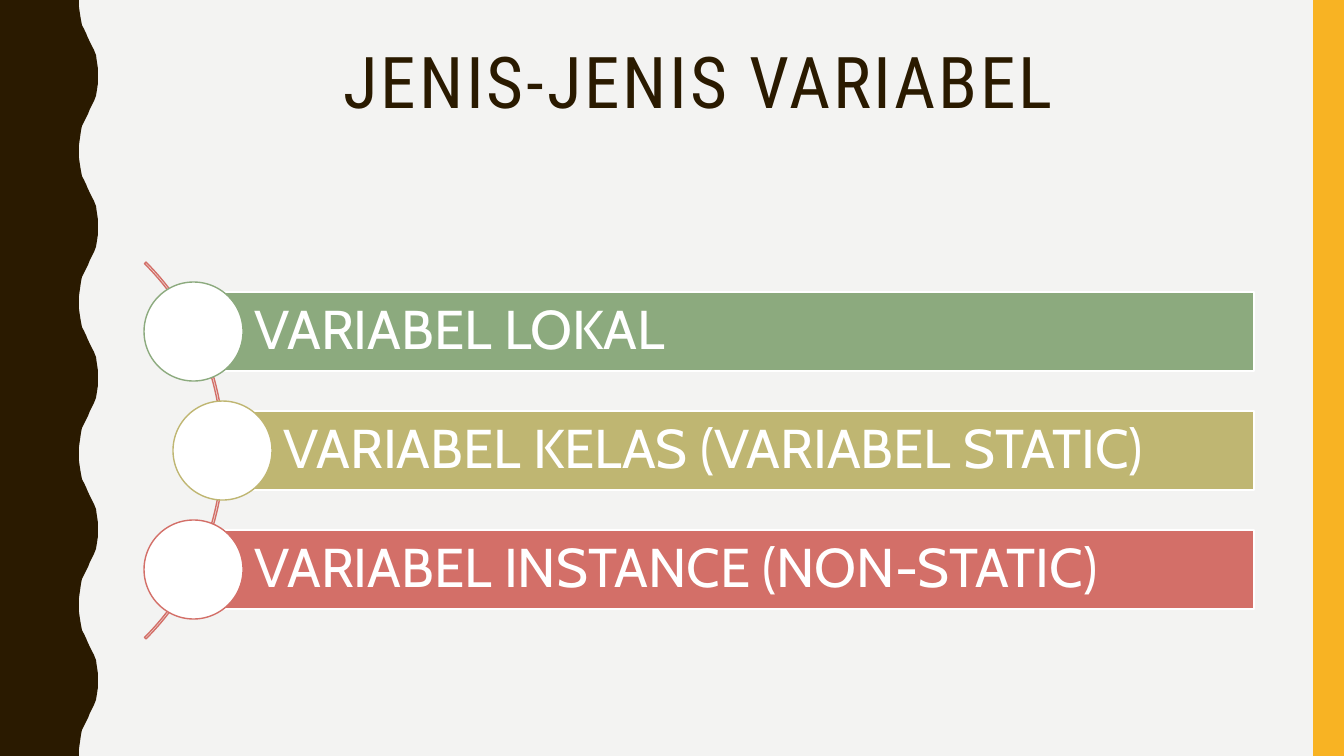
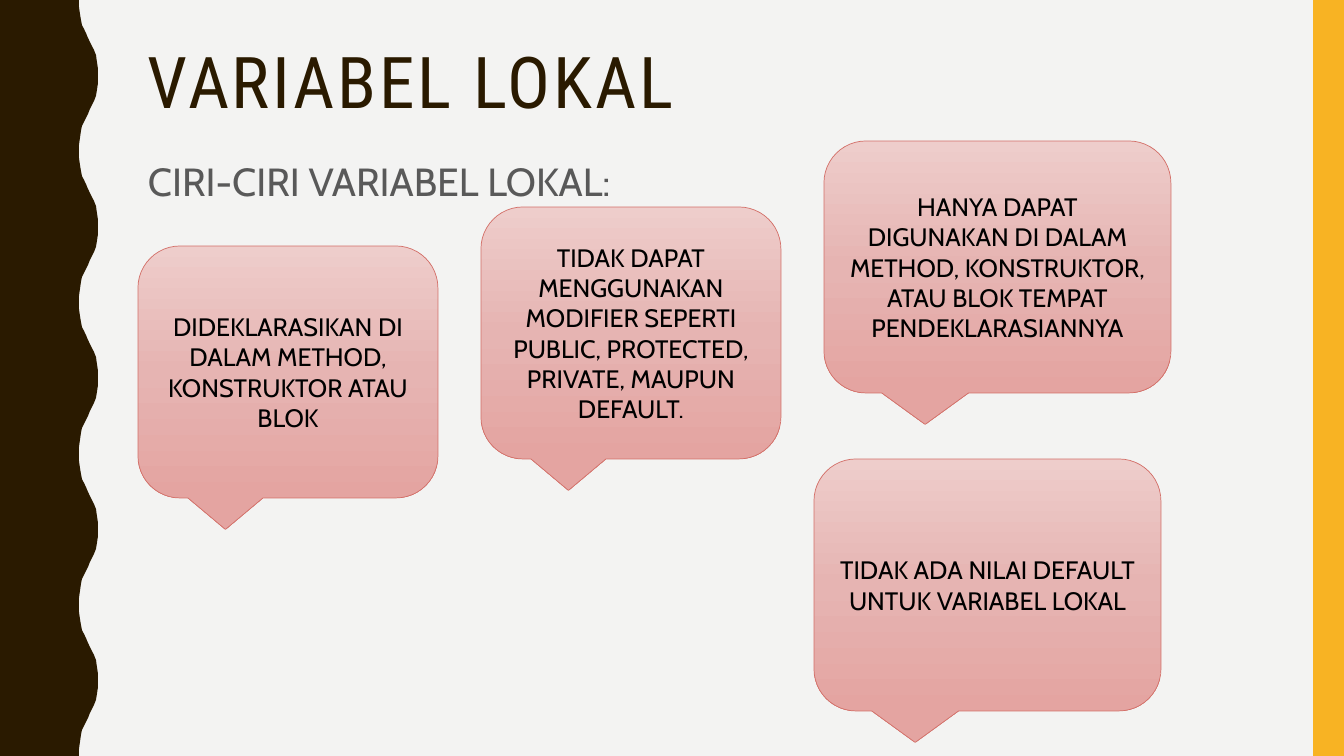
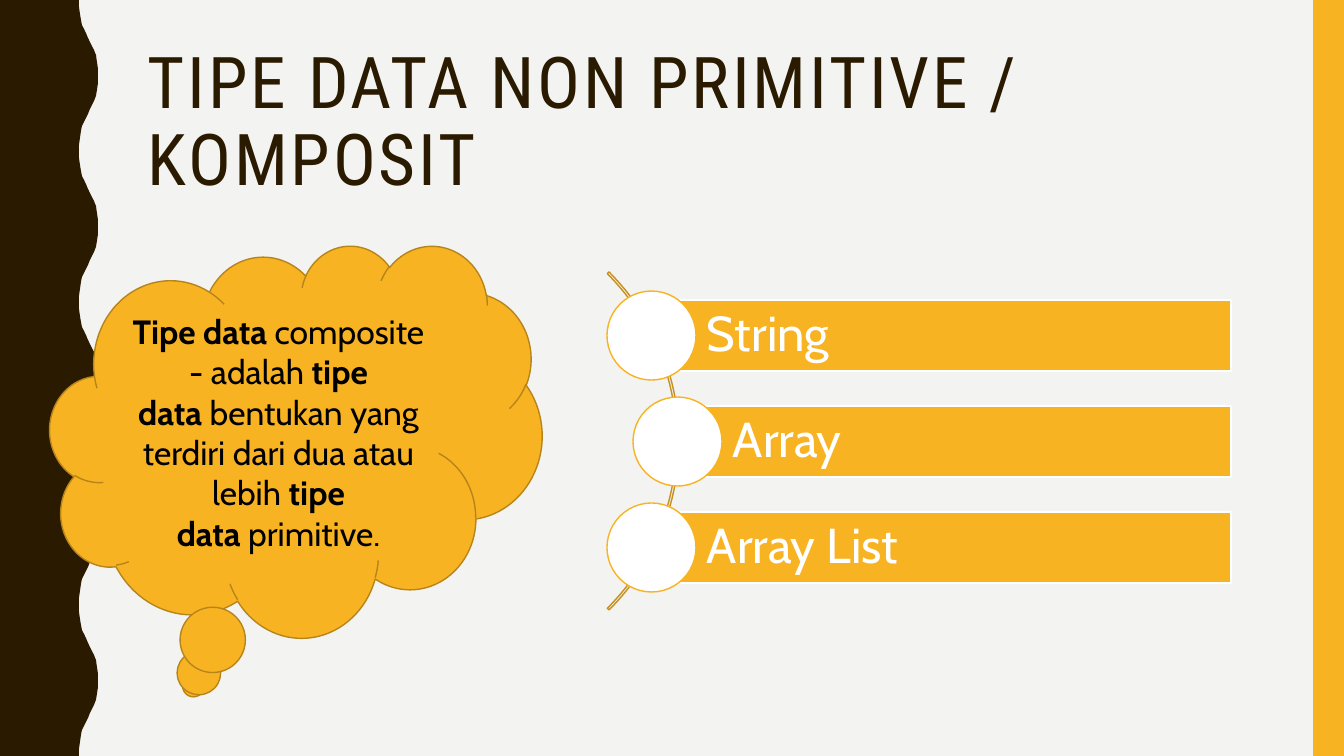
from copy import deepcopy
from dataclasses import dataclass
from typing import NamedTuple, Optional

from pptx import Presentation
from pptx.dml.color import RGBColor
from pptx.enum.shapes import MSO_SHAPE as Preset
from pptx.enum.text import MSO_ANCHOR as Anchor, PP_ALIGN as Align
from pptx.oxml.ns import qn
from pptx.shapes.autoshape import Shape
from pptx.slide import Slide
from pptx.util import Emu, Pt

WIDTH, HEIGHT = 1344, 756
SCALE = 12192000 / WIDTH
HEADING_FONT, BODY_FONT = "Roboto Condensed", "Cabin"
BROWN, GOLD, PAPER, GRAY = "2A1A00", "F8B323", "F3F3F2", "595959"
GREEN, OLIVE, CORAL = "8CAA7E", "BFB672", "D36F68"
DARK_GOLD, BRONZE = "B7841A", "C78F1C"
WHITE, BLACK = "FFFFFF", "000000"
CALLOUT_SHADES = ("EECDCB", "E6B4B2", "E4A4A1")
WAVE_X = (79, 79, 80, 81, 82, 84, 86, 88, 90, 92, 94, 96, 97, 98, 98)
WAVE_Y = (0, 7, 14, 20, 25, 29, 33, 38, 42, 46, 50, 55, 62, 69, 75.6)
HALF_WAVES = 10


class Span(NamedTuple):
    text: str
    bold: bool = False


class Area(NamedTuple):
    left: int
    top: int
    width: int
    height: int


class Row(NamedTuple):
    text: str
    color: str


class Callout(NamedTuple):
    area: Area
    paragraphs: list[str]


@dataclass
class ArcList:
    rows: list[Row]
    left: int
    indent: int
    right: int
    middle: int
    pitch: int
    bar_height: int
    circle: int
    arc: int
    arc_thickness: float
    arc_color: str
    text_inset: int
    text_size: int


TITLE_AREA = Area(138, 42, 1122, 164)
BODY_AREA = Area(138, 148, 1122, 500)


def px(length: float) -> Emu:
    return Emu(round(length * SCALE))


def rgb(color: str) -> RGBColor:
    return RGBColor.from_string(color)


def write(box: Shape, paragraphs: list[str | list[Span]], *, size: float,
          color: str, font: str = BODY_FONT, align: Align = Align.LEFT,
          anchor: Anchor = Anchor.MIDDLE, line_spacing: float = 1.0,
          before: float = 0, tracking: int = 0,
          left_inset: Optional[int] = None) -> None:
    frame = box.text_frame
    frame.word_wrap = True
    frame.vertical_anchor = anchor
    if left_inset is not None:
        frame.margin_left = px(left_inset)
    for index, content in enumerate(paragraphs):
        para = frame.add_paragraph() if index else frame.paragraphs[0]
        para.alignment = align
        para.line_spacing = line_spacing
        para.space_before = Pt(before)
        spans = [Span(content)] if isinstance(content, str) else content
        for span in spans:
            run = para.add_run()
            run.text = span.text
            run.font.name = font
            run.font.size = Pt(size)
            run.font.bold = span.bold
            run.font.color.rgb = rgb(color)
            if tracking:
                run.font._element.set("spc", str(tracking * 100))


def paint(shape: Shape, fill: Optional[str], line: Optional[str] = None,
          line_width: float = 1) -> None:
    shape.shadow.inherit = False
    if fill:
        shape.fill.solid()
        shape.fill.fore_color.rgb = rgb(fill)
    else:
        shape.fill.background()
    if line:
        shape.line.color.rgb = rgb(line)
        shape.line.width = Pt(line_width)
    else:
        shape.line.fill.background()


def add_preset(page: Slide, preset: Preset, area: Area, fill: Optional[str],
               line: Optional[str] = None, line_width: float = 1) -> Shape:
    shape = page.shapes.add_shape(preset, *map(px, area))
    paint(shape, fill, line, line_width)
    return shape


def add_wave(page: Slide) -> None:
    half = HEIGHT / HALF_WAVES
    edge = [
        (x, index * half + y)
        for index in range(HALF_WAVES)
        for x, y in zip(WAVE_X[::-1] if index % 2 else WAVE_X, WAVE_Y)
    ]
    builder = page.shapes.build_freeform(0, 0, scale=SCALE)
    builder.add_line_segments([*edge, (0, HEIGHT)], close=True)
    paint(builder.convert_to_shape(), BROWN)


def add_page(deck: Presentation, title: str, align: Align = Align.LEFT) -> Slide:
    page = deck.slides.add_slide(deck.slide_layouts[6])
    add_wave(page)
    add_preset(page, Preset.RECTANGLE, Area(1313, 0, 31, HEIGHT), GOLD)
    heading = page.shapes.add_textbox(*map(px, TITLE_AREA))
    write(heading, [title], size=51, color=BROWN, font=HEADING_FONT, align=align,
          anchor=Anchor.TOP, line_spacing=0.9, tracking=2)
    return page


def add_arc_list(page: Slide, items: ArcList) -> None:
    arc_left = items.left + items.indent + 2 - items.arc
    arc_area = Area(arc_left, items.middle - items.arc // 2, items.arc, items.arc)
    arc = add_preset(page, Preset.BLOCK_ARC, arc_area, None, items.arc_color)
    for index, value in enumerate((189, 27, items.arc_thickness)):
        arc.adjustments[index] = value
    for index, row in enumerate(items.rows):
        left = items.left + items.indent * (index % 2)
        center = items.middle + (index - 1) * items.pitch
        bar_area = Area(left, center - items.bar_height // 2,
                        items.right - left, items.bar_height)
        bar = add_preset(page, Preset.RECTANGLE, bar_area, row.color, WHITE)
        write(bar, [row.text], size=items.text_size, color=WHITE,
              line_spacing=0.9, left_inset=items.text_inset)
        radius = items.circle // 2
        circle_area = Area(left - radius, center - radius, items.circle, items.circle)
        add_preset(page, Preset.OVAL, circle_area, WHITE, row.color)


def shade(shape: Shape, colors: tuple[str, str, str]) -> None:
    shape.fill.gradient()
    shape.fill.gradient_angle = 270
    stops = shape.element.spPr.find(qn("a:gradFill")).find(qn("a:gsLst"))
    stops.insert(1, deepcopy(stops[0]))
    for index, (stop, color) in enumerate(zip(shape.fill.gradient_stops, colors)):
        stop.position = index / 2
        stop.color.rgb = rgb(color)


def add_callout(page: Slide, callout: Callout) -> None:
    bubble = add_preset(page, Preset.ROUNDED_RECTANGULAR_CALLOUT, callout.area,
                        None, CORAL, 0.5)
    shade(bubble, CALLOUT_SHADES)
    write(bubble, callout.paragraphs, size=18, color=BLACK, align=Align.CENTER)


def build_kinds(deck: Presentation) -> None:
    page = add_page(deck, "JENIS-JENIS VARIABEL", Align.CENTER)
    add_arc_list(page, ArcList(
        rows=[
            Row("VARIABEL LOKAL", GREEN),
            Row("VARIABEL KELAS (VARIABEL STATIC)", OLIVE),
            Row("VARIABEL INSTANCE (NON-STATIC)", CORAL),
        ],
        left=193, indent=29, right=1254, middle=450, pitch=119, bar_height=79,
        circle=99, arc=533, arc_thickness=0.004, arc_color=CORAL,
        text_inset=62, text_size=39))


def build_local(deck: Presentation) -> None:
    page = add_page(deck, "VARIABEL LOKAL")
    intro = page.shapes.add_textbox(*map(px, BODY_AREA))
    write(intro, ["CIRI-CIRI VARIABEL LOKAL:"], size=28, color=GRAY,
          anchor=Anchor.TOP, line_spacing=1.1, before=7)
    callouts = [
        Callout(Area(138, 246, 300, 252),
                ["DIDEKLARASIKAN DI DALAM METHOD, KONSTRUKTOR ATAU BLOK"]),
        Callout(Area(481, 207, 300, 252),
                ["TIDAK DAPAT MENGGUNAKAN MODIFIER SEPERTI",
                 "PUBLIC, PROTECTED, PRIVATE, MAUPUN DEFAULT."]),
        Callout(Area(824, 141, 347, 252),
                ["HANYA DAPAT DIGUNAKAN DI DALAM METHOD, KONSTRUKTOR, "
                 "ATAU BLOK TEMPAT PENDEKLARASIANNYA"]),
        Callout(Area(814, 459, 347, 252),
                ["TIDAK ADA NILAI DEFAULT UNTUK VARIABEL LOKAL"]),
    ]
    for callout in callouts:
        add_callout(page, callout)


def build_composite(deck: Presentation) -> None:
    page = add_page(deck, "TIPE DATA NON PRIMITIVE / KOMPOSIT")
    cloud = add_preset(page, Preset.CLOUD_CALLOUT, Area(50, 245, 492, 392),
                       GOLD, DARK_GOLD)
    definition = [
        Span("Tipe data", True),
        Span("\u00a0composite - adalah\u00a0"),
        Span("tipe data\u00a0", True),
        Span("bentukan yang terdiri dari dua atau lebih\u00a0"),
        Span("tipe data", True),
        Span("\u00a0primitive."),
    ]
    write(cloud, [definition], size=24, color=BLACK, align=Align.CENTER)
    add_arc_list(page, ArcList(
        rows=[Row(name, GOLD) for name in ("String", "Array", "Array List")],
        left=651, indent=26, right=1231, middle=441, pitch=106, bar_height=71,
        circle=89, arc=478, arc_thickness=0.005, arc_color=BRONZE,
        text_inset=56, text_size=35))


def main() -> None:
    deck = Presentation()
    deck.slide_width, deck.slide_height = px(WIDTH), px(HEIGHT)
    backdrop = deck.slide_master.background.fill
    backdrop.solid()
    backdrop.fore_color.rgb = rgb(PAPER)
    for build in (build_kinds, build_local, build_composite):
        build(deck)
    deck.save("out.pptx")


main()
